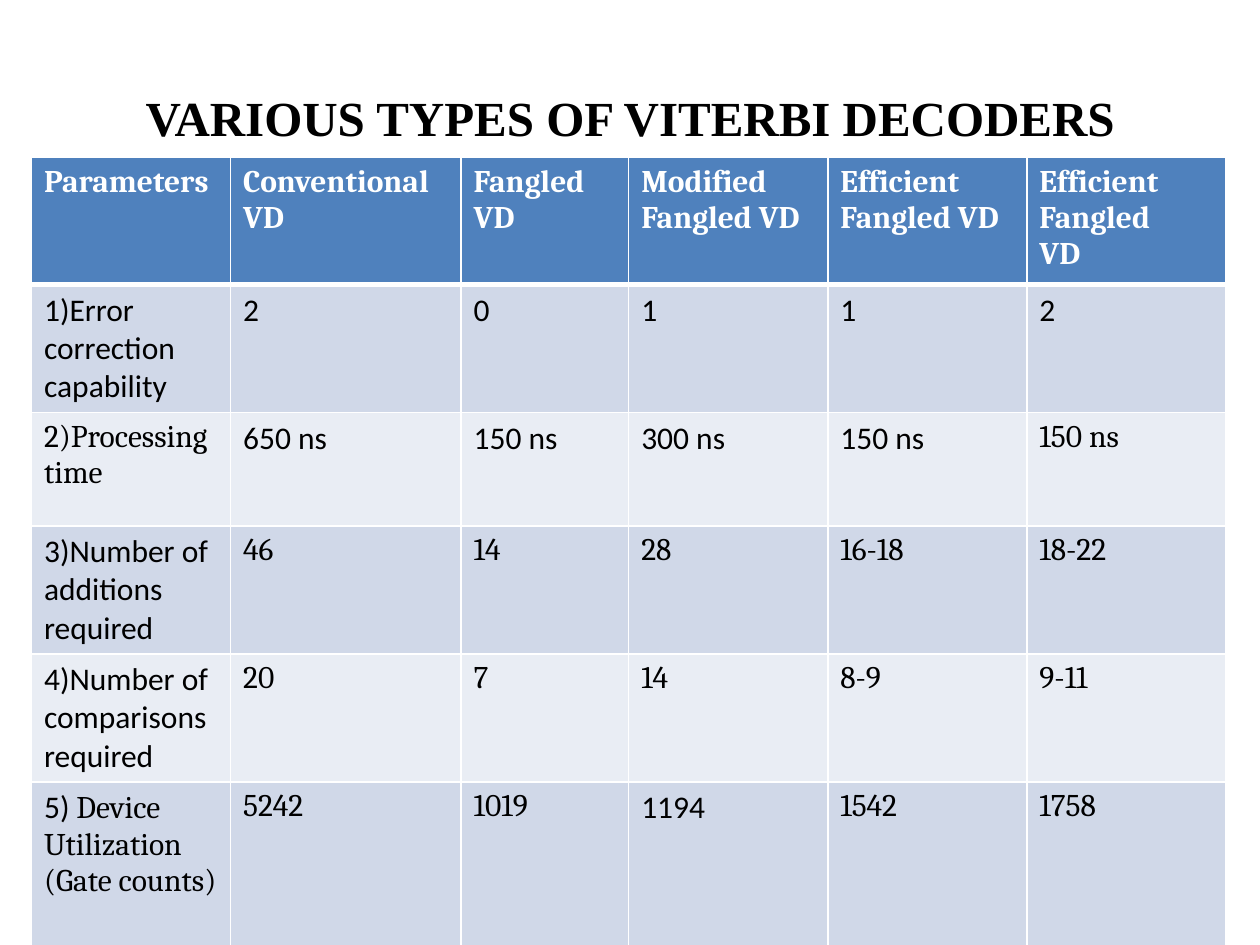
from lxml.etree import SubElement
from pptx import Presentation
from pptx.dml.color import RGBColor
from pptx.enum.text import MSO_ANCHOR, PP_ALIGN
from pptx.oxml.ns import qn
from pptx.util import Inches, Pt

WHITE = RGBColor(0xFF, 0xFF, 0xFF)
BLACK = RGBColor(0x00, 0x00, 0x00)
HEADER_BLUE = RGBColor(0x4F, 0x81, 0xBD)
BANDS = (RGBColor(0xE9, 0xED, 0xF4), RGBColor(0xD0, 0xD8, 0xE8))
CALIBRI, CAMBRIA, TIMES = "Calibri", "Cambria", "Times New Roman"

COLUMN_WIDTHS = (1.58, 1.83, 1.33, 1.58, 1.58, 1.58)
ROW_HEIGHTS = (1.01, 1.01, 0.9, 1.01, 1.01, 1.31)


def cells(font, *texts):
    """Give each text as a cell: a list of paragraphs of (text, font) runs."""
    return [[[(line, font)] for line in text.split("\n")] for text in texts]


DEVICE_CELL = [
    [("5)", CALIBRI), (" Device Utilization", CAMBRIA)],
    [("(Gate counts)", CAMBRIA)],
]

DECODER_ROWS = [
    cells(CAMBRIA, "Parameters", "Conventional\nVD", "Fangled\nVD",
          "Modified\nFangled VD", "Efficient\nFangled VD",
          "Efficient\nFangled\nVD"),
    cells(CALIBRI, "1)Error correction\ncapability", "2", "0", "1", "1", "2"),
    cells(CAMBRIA, "2)Processing time")
    + cells(CALIBRI, "650 ns", "150 ns", "300 ns", "150 ns")
    + cells(CAMBRIA, "150 ns"),
    cells(CALIBRI, "3)Number of\nadditions required")
    + cells(CAMBRIA, "46", "14", "28", "16-18", "18-22"),
    cells(CALIBRI, "4)Number of\ncomparisons\nrequired")
    + cells(CAMBRIA, "20", "7", "14", "8-9", "9-11"),
    [DEVICE_CELL]
    + cells(CAMBRIA, "5242", "1019")
    + cells(CALIBRI, "1194")
    + cells(CAMBRIA, "1542", "1758"),
]


class SlideBuilder:
    def __init__(self, deck):
        self.page = deck.slides.add_slide(deck.slide_layouts[5])
        self.border_color = WHITE
        self.border_width = 1
        self.header_rule_width = 3
        self.table_size = 18

    def add_span(self, para, text, font, size, color, bold):
        span = para.add_run()
        span.text = text
        span.font.name = font
        span.font.size = Pt(size)
        span.font.color.rgb = color
        span.font.bold = bold

    def add_title(self, text, left, top, width, height):
        box = self.page.shapes.title
        box.left, box.top = Inches(left), Inches(top)
        box.width, box.height = Inches(width), Inches(height)
        box.text_frame.vertical_anchor = MSO_ANCHOR.MIDDLE
        para = box.text_frame.paragraphs[0]
        para.alignment = PP_ALIGN.CENTER
        self.add_span(para, text, TIMES, 28, BLACK, True)

    def add_borders(self, cell, row):
        widths = {"a:lnL": self.border_width, "a:lnR": self.border_width,
                  "a:lnT": self.border_width, "a:lnB": self.border_width}
        if row == 0:
            widths["a:lnB"] = self.header_rule_width
        elif row == 1:
            widths["a:lnT"] = self.header_rule_width
        properties = cell._tc.get_or_add_tcPr()
        for tag, width in widths.items():
            line = SubElement(properties, qn(tag), w=str(Pt(width)))
            fill = SubElement(line, qn("a:solidFill"))
            SubElement(fill, qn("a:srgbClr"), val=str(self.border_color))

    def fill_cell(self, cell, row, paragraphs):
        header = row == 0
        self.add_borders(cell, row)
        cell.fill.solid()
        cell.fill.fore_color.rgb = HEADER_BLUE if header else BANDS[row % 2]
        frame = cell.text_frame
        for index, runs in enumerate(paragraphs):
            para = frame.add_paragraph() if index else frame.paragraphs[0]
            for text, font in runs:
                self.add_span(para, text, font, self.table_size,
                              WHITE if header else BLACK, header)

    def add_table(self, rows, left, top, widths, heights):
        table = self.page.shapes.add_table(
            len(rows), len(widths), Inches(left), Inches(top),
            Inches(sum(widths)), Inches(sum(heights))).table
        for column, width in zip(table.columns, widths):
            column.width = Inches(width)
        for row, height in zip(table.rows, heights):
            row.height = Inches(height)
        for row, contents in enumerate(rows):
            for column, paragraphs in enumerate(contents):
                self.fill_cell(table.cell(row, column), row, paragraphs)


def main():
    deck = Presentation()
    deck.slide_width, deck.slide_height = Inches(10), Inches(7.5)
    builder = SlideBuilder(deck)
    builder.add_title("VARIOUS TYPES OF VITERBI DECODERS", 0.5, 0.3, 9, 1.25)
    builder.add_table(DECODER_ROWS, 0.25, 1.25, COLUMN_WIDTHS, ROW_HEIGHTS)
    deck.save("out.pptx")


if __name__ == "__main__":
    main()
